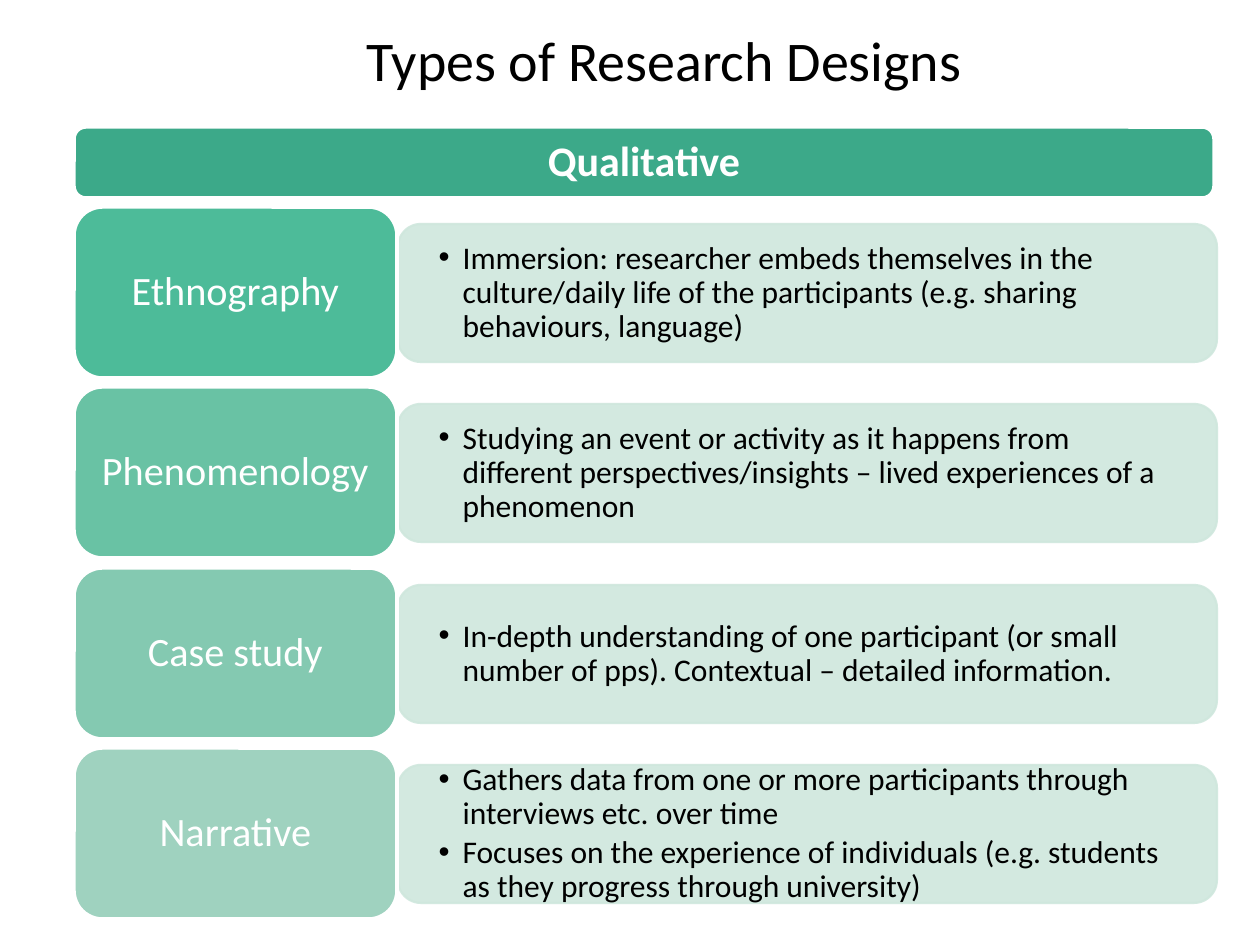
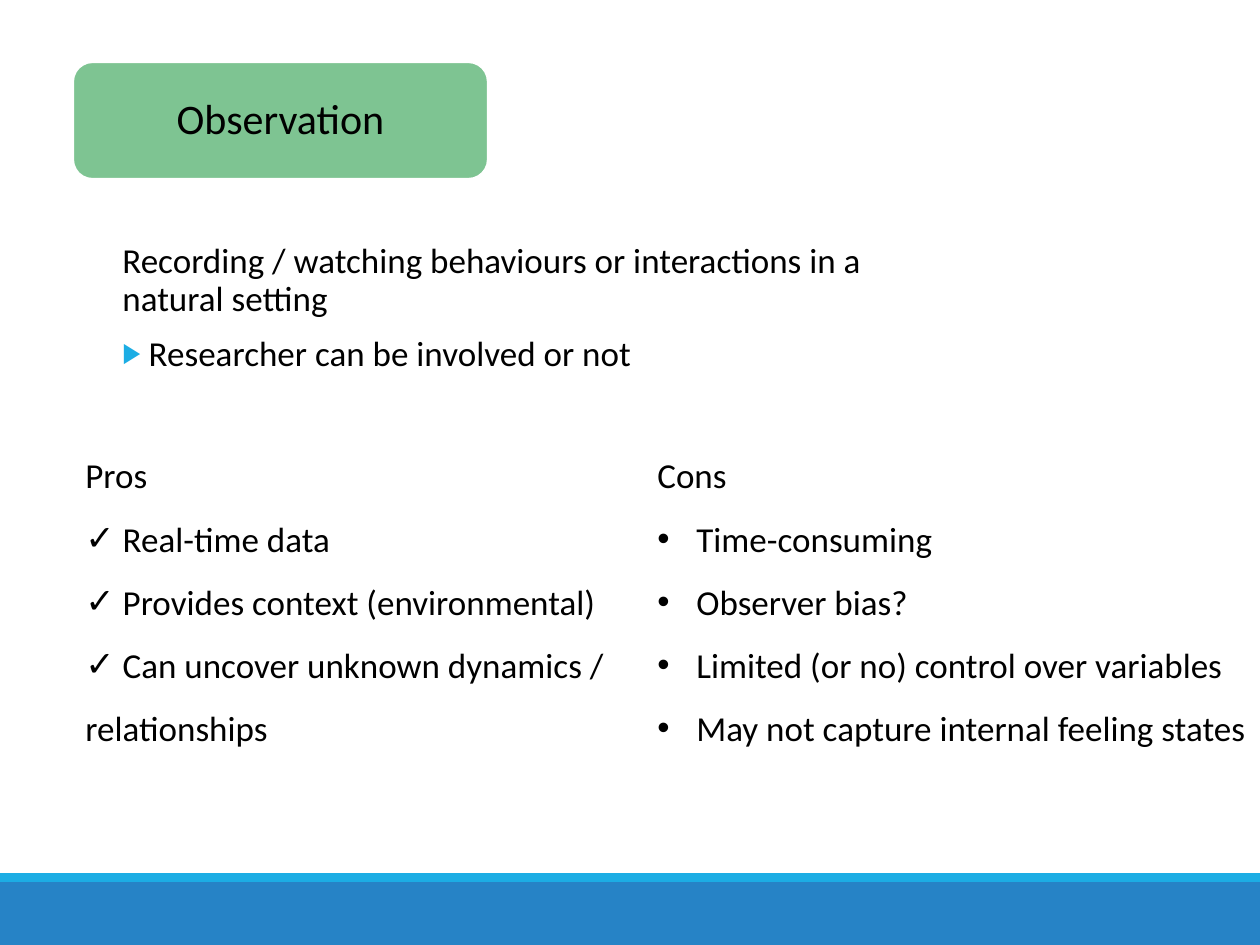
from dataclasses import dataclass

from lxml.etree import SubElement
from pptx import Presentation
from pptx.dml.color import RGBColor
from pptx.enum.shapes import MSO_SHAPE
from pptx.enum.text import MSO_ANCHOR, PP_ALIGN
from pptx.oxml.ns import qn
from pptx.util import Emu, Pt

# Shared style
PX_PER_INCH = 126
FONT = "Calibri"
COLORS = {
    "black": "000000",
    "white": "FFFFFF",
    "header": "3CA989",
    "detail": "CFE7DD",
    "ethnography": "4DBB99",
    "phenomenology": "69C2A4",
    "case": "84C9B1",
    "narrative": "9FD2BF",
    "method": "7EC492",
    "footer": "2683C6",
    "accent": "1CADE4",
}


@dataclass(frozen=True)
class Box:
    left: int
    top: int
    width: int
    height: int


@dataclass(frozen=True)
class Bullet:
    char: str
    hang: int = 0
    color: str | None = None
    size: int | None = None


@dataclass(frozen=True)
class Design:
    name: str
    color: str
    points: tuple[str, ...]


@dataclass(frozen=True)
class Assessment:
    heading: str
    box: Box
    bullet: Bullet
    points: tuple[str, ...]


DOT = Bullet("•", hang=24)
ARROW = Bullet("▶", color="accent", size=80)
CHECK = Bullet("✓")

DESIGNS = (
    Design("Ethnography", "ethnography", (
        "Immersion: researcher embeds themselves in the culture/daily life of "
        "the participants (e.g. sharing behaviours, language)",)),
    Design("Phenomenology", "phenomenology", (
        "Studying an event or activity as it happens from different "
        "perspectives/insights – lived experiences of a phenomenon",)),
    Design("Case study", "case", (
        "In-depth understanding of one participant (or small number of pps). "
        "Contextual – detailed information.",)),
    Design("Narrative", "narrative", (
        "Gathers data from one or more participants through interviews etc. over time",
        "Focuses on the experience of individuals (e.g. students as they "
        "progress through university)")),
)

ASSESSMENTS = (
    Assessment("Pros", Box(73, 452, 587, 299), CHECK, (
        " Real-time data",
        " Provides context (environmental)",
        " Can uncover unknown dynamics / relationships")),
    Assessment("Cons", Box(645, 452, 615, 299), Bullet("•", hang=39), (
        "Time-consuming",
        "Observer bias?",
        "Limited (or no) control over variables",
        "May not capture internal feeling states")),
)


def px(n: int) -> Emu:
    return Emu(round(n * 914400 / PX_PER_INCH))


def rgb(name: str) -> RGBColor:
    return RGBColor.from_string(COLORS[name])


def place(box: Box) -> tuple[Emu, ...]:
    return px(box.left), px(box.top), px(box.width), px(box.height)


def add_bullet(p, bullet: Bullet) -> None:
    pPr = p._p.get_or_add_pPr()
    pPr.set("marL", str(px(bullet.hang)))
    pPr.set("indent", str(-px(bullet.hang)))
    if bullet.color:
        clr = SubElement(pPr, qn("a:buClr"))
        SubElement(clr, qn("a:srgbClr"), val=COLORS[bullet.color])
    if bullet.size:
        SubElement(pPr, qn("a:buSzPct"), val=str(bullet.size * 1000))
    SubElement(pPr, qn("a:buFont"), typeface="Arial")
    SubElement(pPr, qn("a:buChar"), char=bullet.char)


def write(tf, text: str, *, size: int, color: str = "black", bold: bool = False,
          align=PP_ALIGN.LEFT, spacing: float = 0.9, before: int = 0,
          bullet: Bullet | None = None) -> None:
    """Fill the empty first paragraph, or append another one."""
    first = not tf.paragraphs[0].runs
    p = tf.paragraphs[0] if first else tf.add_paragraph()
    if bullet:
        add_bullet(p, bullet)
    p.alignment = align
    p.line_spacing = spacing
    if not first:
        p.space_before = Pt(before)
    r = p.add_run()
    r.text = text
    r.font.name = FONT
    r.font.size = Pt(size)
    r.font.bold = bold
    r.font.color.rgb = rgb(color)


def add_text(slide, box: Box):
    tf = slide.shapes.add_textbox(*place(box)).text_frame
    tf.word_wrap = True
    return tf


def add_block(slide, box: Box, fill: str, *, kind=MSO_SHAPE.ROUNDED_RECTANGLE,
              line: str | None = None, weight: float = 1.25, alpha: int = 100,
              inset: int = 12):
    sp = slide.shapes.add_shape(kind, *place(box))
    sp.shadow.inherit = False
    sp.fill.solid()
    sp.fill.fore_color.rgb = rgb(fill)
    if line:
        sp.line.color.rgb = rgb(line)
        sp.line.width = Pt(weight)
    else:
        sp.line.fill.background()
    if alpha < 100:
        for clr in sp._element.spPr.iter(qn("a:srgbClr")):
            SubElement(clr, qn("a:alpha"), val=str(alpha * 1000))
    tf = sp.text_frame
    tf.word_wrap = True
    tf.vertical_anchor = MSO_ANCHOR.MIDDLE
    tf.margin_left = tf.margin_right = px(inset)
    tf.margin_top = tf.margin_bottom = 0
    return tf


def add_footer(slide) -> None:
    for box, fill in ((Box(0, 882, 1260, 63), "footer"), (Box(0, 873, 1260, 9), "accent")):
        add_block(slide, box, fill, kind=MSO_SHAPE.RECTANGLE)


def build_designs(slide) -> None:
    # Title and header band
    tf = add_text(slide, Box(207, 19, 915, 198))
    write(tf, "Types of Research Designs", size=32, align=PP_ALIGN.CENTER, spacing=1.0)
    tf = add_block(slide, Box(74, 127, 1140, 71), "header", line="white", weight=2)
    write(tf, "Qualitative", size=24, color="white", bold=True, align=PP_ALIGN.CENTER)

    # One row per design: description behind, name in front
    for i, design in enumerate(DESIGNS):
        top = 207 + 361 * i // 2
        tf = add_block(slide, Box(398, top + 17, 819, 138), "detail",
                       line="detail", alpha=90, inset=34)
        for point in design.points:
            write(tf, point, size=18, before=3, bullet=DOT)
        tf = add_block(slide, Box(74, top, 323, 171), design.color, line="white", weight=2)
        write(tf, design.name, size=23, color="white", align=PP_ALIGN.CENTER)


def build_observation(slide) -> None:
    add_footer(slide)

    # Definition
    tf = add_text(slide, Box(110, 237, 864, 306))
    write(tf, "Recording / watching behaviours or interactions in a natural setting", size=20)
    write(tf, " Researcher can be involved or not", size=20, before=10, bullet=ARROW)

    # Method label
    tf = add_block(slide, Box(73, 62, 415, 117), "method", line="white")
    write(tf, "Observation", size=24, align=PP_ALIGN.CENTER)

    # Pros and cons
    for item in ASSESSMENTS:
        tf = add_text(slide, item.box)
        write(tf, item.heading, size=20)
        for point in item.points:
            write(tf, point, size=20, spacing=1.5, bullet=item.bullet)


def main() -> None:
    prs = Presentation()
    prs.slide_width, prs.slide_height = px(1260), px(945)
    for build in (build_designs, build_observation):
        build(prs.slides.add_slide(prs.slide_layouts[6]))
    prs.save("out.pptx")


if __name__ == "__main__":
    main()
